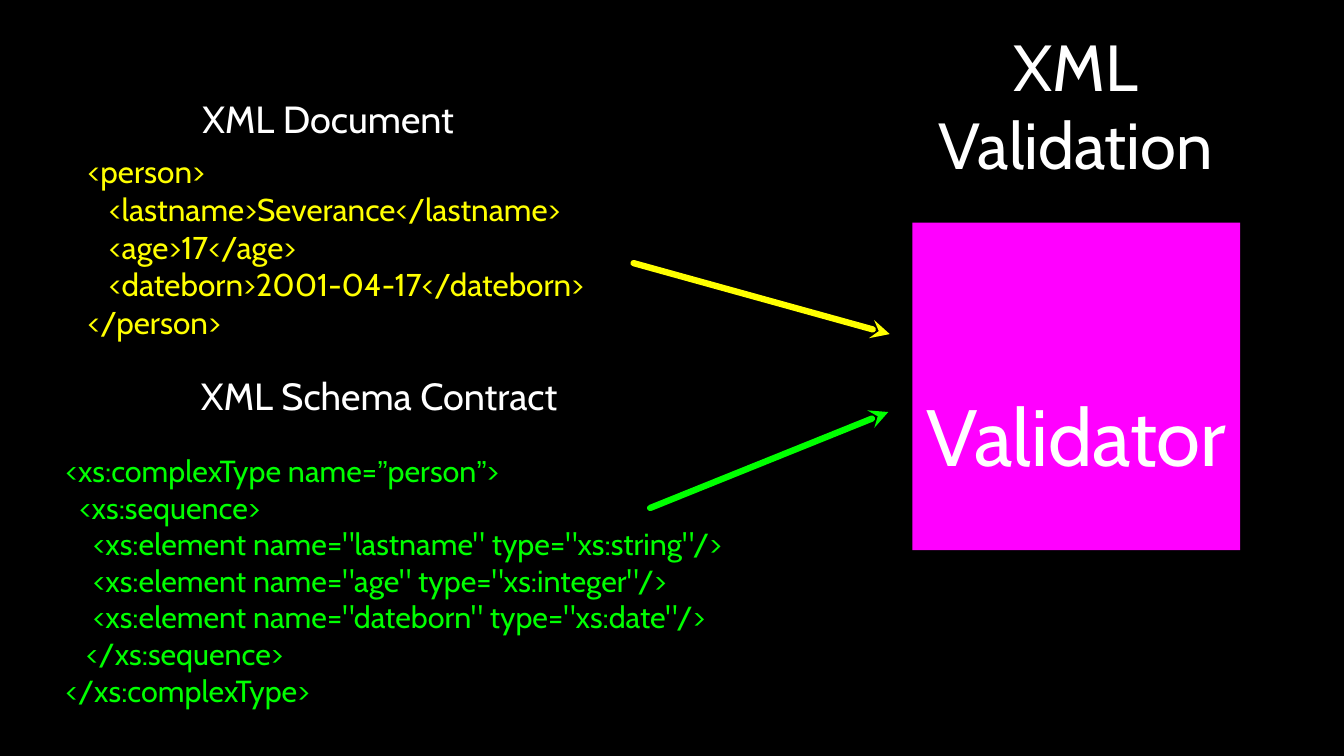
from itertools import groupby

from lxml.etree import SubElement
from pptx import Presentation
from pptx.dml.color import RGBColor
from pptx.enum.shapes import MSO_CONNECTOR, MSO_SHAPE
from pptx.enum.text import MSO_ANCHOR, MSO_AUTO_SIZE, PP_ALIGN
from pptx.oxml.ns import qn
from pptx.util import Pt

BLACK = RGBColor(0, 0, 0)
WHITE = RGBColor(255, 255, 255)
YELLOW = RGBColor(255, 255, 0)
GREEN = RGBColor(0, 255, 0)
MAGENTA = RGBColor(255, 0, 255)

FONT, QUOTE_FONT = "Cabin", "Arial"
CURLY_QUOTE = "”"
TITLE_LAYOUT = 5

TITLE = ("XML Validation", (832.3, 59.8, 384.5, 79.2), 62)
VALIDATOR = ("Validator", (869, 212, 312, 312), 76)
VALIDATOR_TOP_INSET = 92

DOCUMENT_CODE = [
    "<person>",
    "   <lastname>Severance</lastname>",
    "   <age>17</age>",
    "   <dateborn>2001-04-17</dateborn>",
    "</person>",
]
SCHEMA_CODE = [
    "<xs:complexType name=”person”>",
    "  <xs:sequence>",
    '    <xs:element name="lastname" type="xs:string"/>',
    '    <xs:element name="age" type="xs:integer"/>',
    '    <xs:element name="dateborn" type="xs:date"/>',
    "   </xs:sequence>",
    "</xs:complexType>",
]

# lines, box (left, top, width, height), size, colour, alignment
TEXTS = [
    (DOCUMENT_CODE, (83.5, 143.3, 498.2, 182.9), 30, YELLOW, PP_ALIGN.LEFT),
    (SCHEMA_CODE, (62.6, 396.7, 698.4, 311.8), 29, GREEN, PP_ALIGN.LEFT),
    (["XML Schema Contract"], (189.4, 352.1, 343.4, 49), 36, WHITE, PP_ALIGN.CENTER),
    (["XML Document"], (189.4, 87.8, 246.2, 49), 36, WHITE, PP_ALIGN.CENTER),
]

# arrow tip, far end, colour
ARROWS = [
    ((847.4, 318.2), (603.4, 250.6), YELLOW),
    ((846, 392.4), (619.2, 483.8), GREEN),
]


def points(values):
    return [Pt(value) for value in values]


def write(shape, lines, size, colour, alignment):
    """Fill a shape with lines, setting curly quotes in their own font."""
    frame = shape.text_frame
    frame.word_wrap = True
    frame.auto_size = MSO_AUTO_SIZE.NONE
    frame.vertical_anchor = MSO_ANCHOR.MIDDLE
    frame.margin_left = frame.margin_top = frame.margin_right = frame.margin_bottom = 0
    for index, line in enumerate(lines):
        paragraph = frame.add_paragraph() if index else frame.paragraphs[0]
        paragraph.alignment = alignment
        for is_quote, letters in groupby(line, lambda letter: letter == CURLY_QUOTE):
            run = paragraph.add_run()
            run.text = "".join(letters)
            run.font.name = QUOTE_FONT if is_quote else FONT
            run.font.size = Pt(size)
            run.font.color.rgb = colour


def add_title(slide):
    text, box, size = TITLE
    title = slide.shapes.title
    title.left, title.top, title.width, title.height = points(box)
    write(title, [text], size, WHITE, PP_ALIGN.CENTER)


def add_validator(slide):
    text, box, size = VALIDATOR
    square = slide.shapes.add_shape(MSO_SHAPE.RECTANGLE, *points(box))
    square.shadow.inherit = False
    square.fill.solid()
    square.fill.fore_color.rgb = MAGENTA
    square.line.fill.background()
    write(square, [text], size, WHITE, PP_ALIGN.CENTER)
    square.text_frame.margin_top = Pt(VALIDATOR_TOP_INSET)


def add_arrow(slide, tip, far_end, colour):
    arrow = slide.shapes.add_connector(MSO_CONNECTOR.STRAIGHT, *points(tip + far_end))
    arrow.line.color.rgb = colour
    arrow.line.width = Pt(6)
    line = arrow.line._get_or_add_ln()
    line.set("cap", "rnd")
    SubElement(line, qn("a:round"))
    SubElement(line, qn("a:headEnd"), type="stealth")
    SubElement(arrow._element.spPr, qn("a:effectLst"))


def main():
    presentation = Presentation()
    presentation.slide_width, presentation.slide_height = Pt(1280), Pt(720)
    slide = presentation.slides.add_slide(presentation.slide_layouts[TITLE_LAYOUT])
    slide.background.fill.solid()
    slide.background.fill.fore_color.rgb = BLACK

    add_title(slide)
    add_validator(slide)
    for lines, box, size, colour, alignment in TEXTS:
        write(slide.shapes.add_textbox(*points(box)), lines, size, colour, alignment)
    for tip, far_end, colour in ARROWS:
        add_arrow(slide, tip, far_end, colour)

    presentation.save("out.pptx")


if __name__ == "__main__":
    main()
